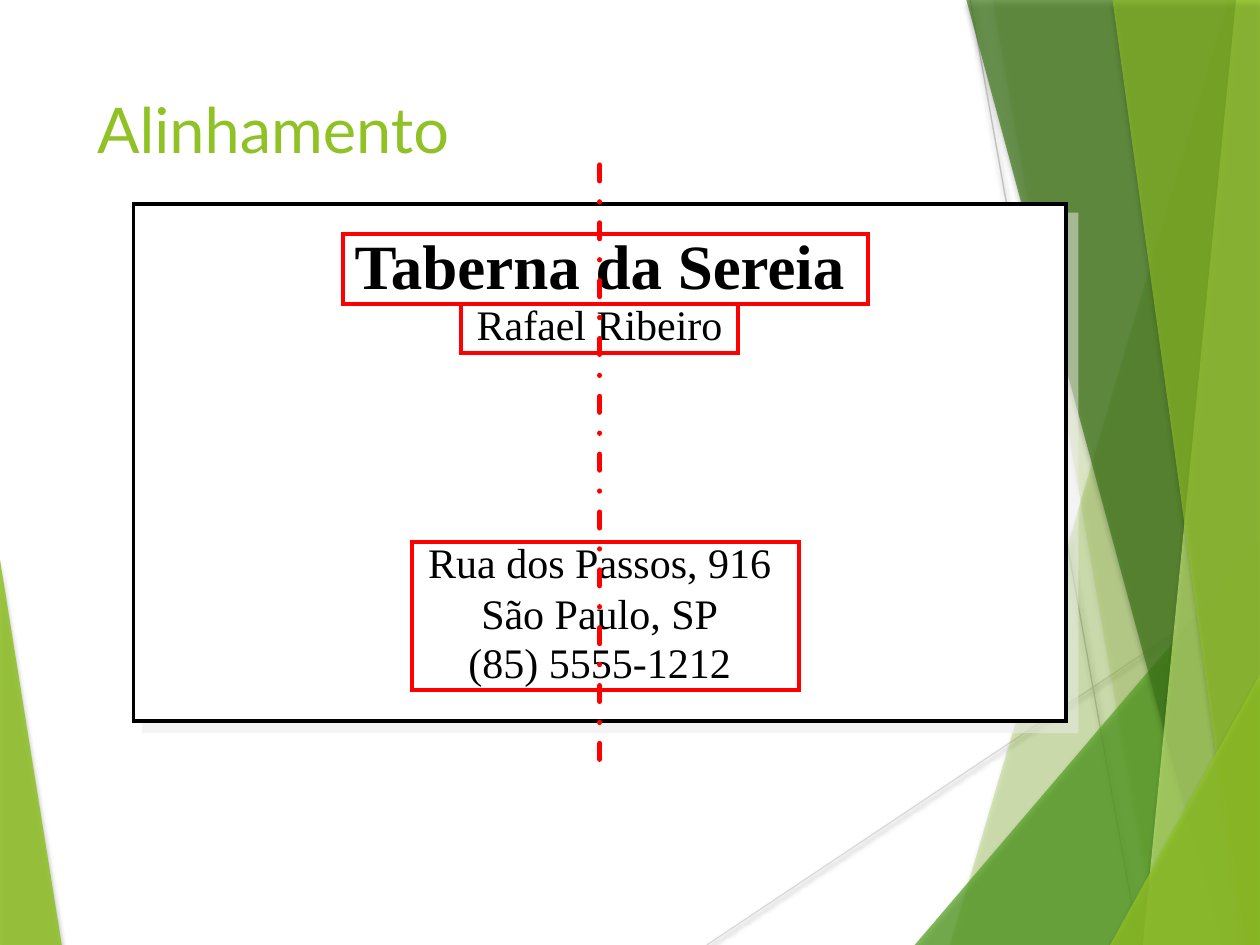
from lxml import etree
from pptx import Presentation
from pptx import util as u
from pptx.dml.color import RGBColor
from pptx.enum import dml, shapes, text
from pptx.oxml import ns

# The slide is a grid of 10 columns by 7.5 rows, one inch each
COLS, ROWS = 10, 7.5
LIME = RGBColor(0x90, 0xC2, 0x26)
GREEN = RGBColor(0x54, 0xA0, 0x21)
DARK = RGBColor(0x3F, 0x78, 0x19)
PALE = RGBColor(0xC0, 0xE4, 0x74)
SILVER = RGBColor(0xD9, 0xD9, 0xD9)
GRAY = RGBColor(0xBF, 0xBF, 0xBF)
MIST = RGBColor(0xEB, 0xEB, 0xEB)
BLACK = RGBColor(0, 0, 0)
WHITE = RGBColor(255, 255, 255)
RED = RGBColor(255, 0, 0)
SERIF = "Times New Roman"


def grid(*cells):
    return [u.Inches(cell) for cell in cells]


def fade(color, share):
    """Add opacity, in percent, to a colour element."""
    etree.SubElement(color, ns.qn("a:alpha"), val=str(share * 1000))


def shade(shape, color=None, share=0, blur=0, dist=0, turn=0):
    """Replace the theme shadow; call after fill and line are set."""
    effects = etree.SubElement(shape._element.spPr, ns.qn("a:effectLst"))
    if color is not None:
        shadow = etree.SubElement(
            effects, ns.qn("a:outerShdw"), blurRad=str(u.Pt(blur)),
            dist=str(u.Pt(dist)), dir=str(turn * 60000), algn="tl",
            rotWithShape="0")
        fade(etree.SubElement(shadow, ns.qn("a:srgbClr"), val=str(color)), share)


def stroke(slide, start, end, color, width):
    line = slide.shapes.add_connector(
        shapes.MSO_CONNECTOR.STRAIGHT, *grid(*start, *end))
    line.line.color.rgb = color
    line.line.width = u.Pt(width)
    return line


def frame(slide, box, color, fill=None):
    """Rectangle with square corners."""
    rect = slide.shapes.add_shape(shapes.MSO_SHAPE.RECTANGLE, *grid(*box))
    if fill is None:
        rect.fill.background()
    else:
        rect.fill.solid()
        rect.fill.fore_color.rgb = fill
    rect.line.color.rgb = color
    rect.line.width = u.Pt(2.25)
    edge = rect._element.spPr.find(ns.qn("a:ln"))
    etree.SubElement(edge, ns.qn("a:miter"), lim="800000")
    return rect


def style(par, font, size, color, bold=False):
    for run in par.runs:
        run.font.name, run.font.size = font, u.Pt(size)
        run.font.color.rgb, run.font.bold = color, bold


def facet(slide, points, color, share):
    first, *rest = [grid(*point) for point in points]
    build = slide.shapes.build_freeform(*first)
    build.add_line_segments(rest, close=True)
    shape = build.convert_to_shape()
    shape.fill.solid()
    shape.fill.fore_color.rgb = color
    fade(shape._element.spPr.find(".//" + ns.qn("a:srgbClr")), share)
    shape.line.fill.background()
    shade(shape, BLACK, 35, 3, 2, 90)


def backdrop(slide, box):
    """Translucent facets on both sides, with two thin lines."""
    left, top, wide, high = box
    right, base = left + wide, top + high
    facet(slide, [(left, top + 4.44), (left + 0.49, base), (left, base)], LIME, 85)
    for start, end, color in (((5.61, base), (right, 4.57), SILVER),
                              ((7.7, top), (9.04, base), GRAY)):
        shade(stroke(slide, start, end, color, 0.75), BLACK, 38, 3.1, 1.6, 90)
    # Each facet runs from (x, y) to x on the base, then along the right edge
    for head, y, foot, color, share in (
            (9.75, top, 7.54, LIME, 30), (7.88, top, 9.19, LIME, 20),
            (right, 4.29, 7.26, GREEN, 72), (7.67, top, 9.7, DARK, 70),
            (9.81, top, 9.07, PALE, 70), (8.83, top, 9.86, LIME, 65),
            (right, 5.35, 8.81, LIME, 80)):
        points = [(head, y), (foot, base), (right, base)]
        if head < right:
            points.append((right, y))
        facet(slide, points, color, share)


def heading(slide, box):
    title = slide.shapes.title
    title.left, title.top, title.width, title.height = grid(*box)
    body = title.text_frame
    body.text = "Alinhamento"
    body.vertical_anchor = text.MSO_ANCHOR.TOP
    body.paragraphs[0].alignment = text.PP_ALIGN.LEFT
    style(body.paragraphs[0], "Lato", 36, LIME)


def label(slide, words, mid, y, size, bold):
    wide, high = (4.3, 0.79) if bold else (3.2, 0.63)
    body = slide.shapes.add_textbox(
        *grid(mid - wide / 2, y - high / 2, wide, high)).text_frame
    body.text = words
    body.word_wrap = False
    body.vertical_anchor = text.MSO_ANCHOR.MIDDLE
    body.paragraphs[0].alignment = text.PP_ALIGN.CENTER
    style(body.paragraphs[0], SERIF, size, BLACK, bold)


def card(slide, box):
    """Business card whose lines are centred on a dashed axis."""
    left, top, wide, high = box
    mid = left + wide / 2
    shade(frame(slide, box, BLACK, WHITE), MIST, 50, 0, 8.5, 45)

    # Card text
    for words, y, size, bold in (
            ("Taberna da Sereia", 0.48, 36, True),
            ("Rafael Ribeiro", 0.95, 24, False),
            ("Rua dos Passos, 916", 2.84, 24, False),
            ("São Paulo, SP", 3.24, 24, False),
            ("(85) 5555-1212", 3.63, 24, False)):
        label(slide, words, mid, top + y, size, bold)

    # Centre axis
    over = 0.31
    axis = stroke(slide, (mid, top - over), (mid, top + high + over), RED, 3)
    axis.line.dash_style = dml.MSO_LINE.DASH_DOT
    axis._element.spPr.find(ns.qn("a:ln")).set("cap", "rnd")
    shade(axis)

    # Frames around the text groups
    for x, y, across, down in ((1.66, 0.24, 4.17, 0.55), (2.6, 0.79, 2.2, 0.39),
                               (2.21, 2.68, 3.07, 1.18)):
        shade(frame(slide, (left + x, top + y, across, down), RED))


def main():
    deck = Presentation()
    deck.slide_width, deck.slide_height = grid(COLS, ROWS)
    slide = deck.slides.add_slide(deck.slide_layouts[5])
    backdrop(slide, (0, 0, COLS, ROWS))
    heading(slide, (0.67, 0.67, 6.94, 1.44))
    card(slide, (1.06, 1.62, 7.4, 4.1))
    deck.save("out.pptx")


if __name__ == "__main__":
    main()
